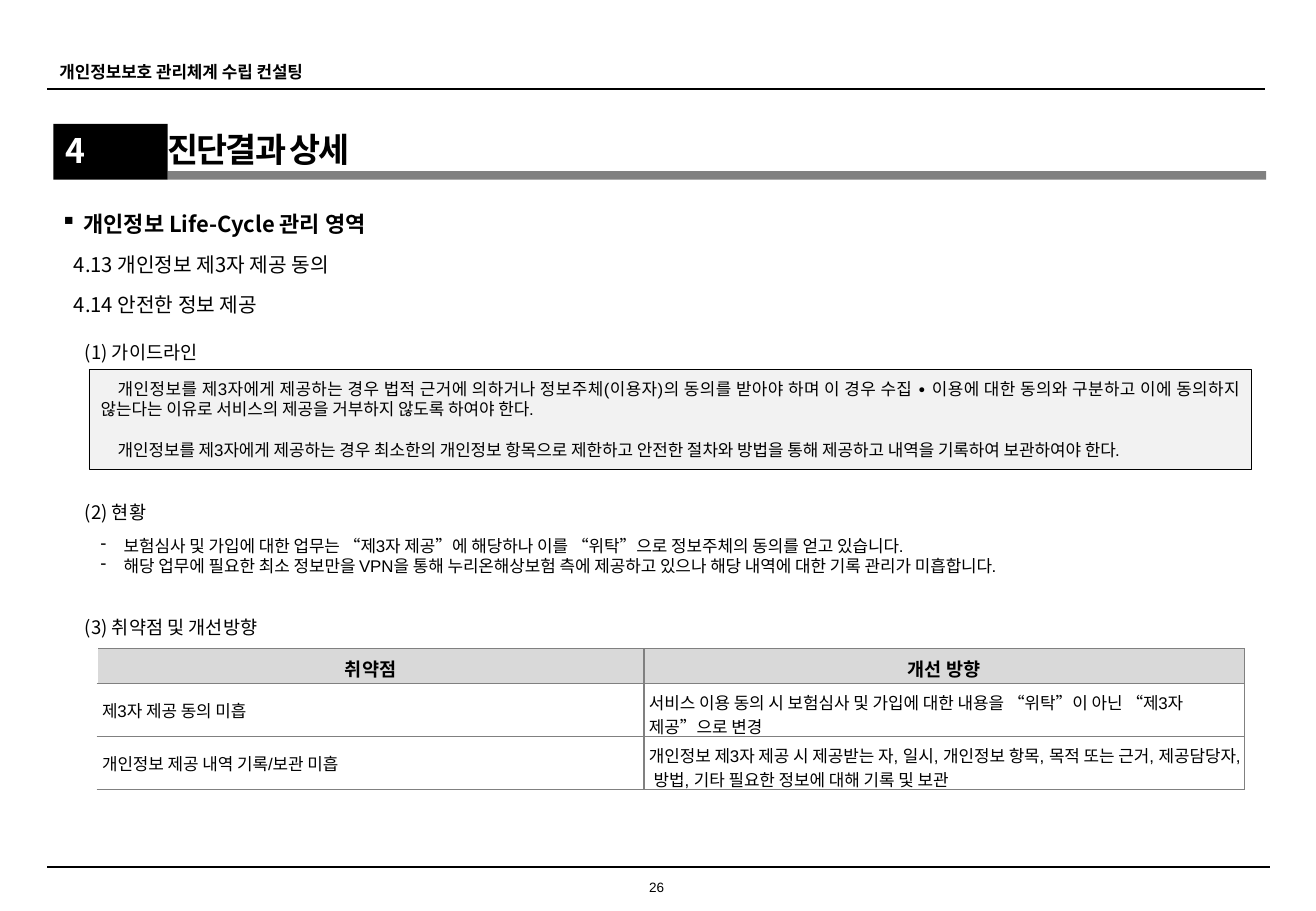
import pptx
import pptx.util
import pptx.dml.color
import pptx.enum.shapes
import pptx.enum.text
import pptx.oxml.ns
from lxml import etree

Inches, Pt = pptx.util.Inches, pptx.util.Pt
qn = pptx.oxml.ns.qn
ALIGN = pptx.enum.text.PP_ALIGN
ANCHOR = pptx.enum.text.MSO_ANCHOR
RECT = pptx.enum.shapes.MSO_SHAPE.RECTANGLE
STRAIGHT = pptx.enum.shapes.MSO_CONNECTOR.STRAIGHT
NOTO = "Noto Sans CJK KR"
INSETS = (0.1, 0.05, 0.1, 0.05)


def color(text):
    return pptx.dml.color.RGBColor.from_string(text)


def write(frame, lines, size, face=NOTO, bold=False, ink="000000", insets=INSETS,
          bullet=None, indent=(0, 0), space=None, wrap=True,
          anchor=ANCHOR.TOP, **form):
    """Fill a text frame; form holds paragraph attributes, indent is margin and first line."""
    sides = ("margin_left", "margin_top", "margin_right", "margin_bottom")
    for side, inset in zip(sides, insets):
        setattr(frame, side, Inches(inset))
    frame.word_wrap = wrap
    frame.vertical_anchor = anchor
    for i, line in enumerate(lines):
        para = frame.paragraphs[0] if i == 0 else frame.add_paragraph()
        for name, value in form.items():
            setattr(para, name, value)
        props = para._p.get_or_add_pPr()
        props.set("marL", str(Inches(indent[0])))
        props.set("indent", str(Inches(indent[1])))
        if bullet:
            etree.SubElement(props, qn("a:buChar"), char=bullet)
        run = para.add_run()
        run.text = line
        for name, value in {"size": Pt(size), "name": face, "bold": bold}.items():
            setattr(run.font, name, value)
        run.font.color.rgb = color(ink)
        marks = run._r.get_or_add_rPr()
        if face == NOTO:
            etree.SubElement(marks, qn("a:ea"), typeface=face)
        if space is not None:
            marks.set("spc", str(space))


deck = pptx.Presentation()
deck.slide_width, deck.slide_height = Inches(10.83), Inches(7.5)
slide = deck.slides.add_slide(deck.slide_layouts[5])
shapes = slide.shapes

# Header and footer rules
for right, y, width in [(10.41, 0.73, 1.25), (10.45, 7.14, 1)]:
    rule = shapes.add_connector(STRAIGHT, Inches(0.39), Inches(y), Inches(right), Inches(y))
    rule.line.color.rgb = color("000000")
    rule.line.width = Pt(width)
    etree.SubElement(rule._element.spPr, qn("a:effectLst"))

# Title bar, number block and guideline panel
panels = []
for box, fill, edge in [
    ((1.38, 1.41, 9.04, 0.07), "808080", None),
    ((0.44, 1.02, 0.94, 0.46), "000000", None),
    ((0.73, 3.04, 9.57, 0.82), "F2F2F2", "000000"),
]:
    panel = shapes.add_shape(RECT, *map(Inches, box))
    panel.shadow.inherit = False
    panel.fill.solid()
    panel.fill.fore_color.rgb = color(fill)
    if edge:
        panel.line.color.rgb = color(edge)
        panel.line.width = Pt(0.1)
    else:
        panel.line.fill.background()
    panels.append(panel)
bar, block, guide = panels

write(block.text_frame, ["4"], 20, bold=True, ink="FFFFFF", alignment=ALIGN.LEFT)
write(guide.text_frame, [
    "개인정보를 제3자에게 제공하는 경우 법적 근거에 의하거나 정보주체(이용자)의 동의를 받아야 하며 이 경우 수집 ∙ 이용에 대한 동의와 구분하고 이에 동의하지 않는다는 이유로 서비스의 제공을 거부하지 않도록 하여야 한다.",
    "개인정보를 제3자에게 제공하는 경우 최소한의 개인정보 항목으로 제한하고 안전한 절차와 방법을 통해 제공하고 내역을 기록하여 보관하여야 한다.",
], 10, "Arial", indent=(0, 0.14), anchor=ANCHOR.MIDDLE,
    alignment=ALIGN.JUSTIFY, space_after=Pt(12))

title = shapes.title
for name, value in {"left": 1.38, "top": 1.04, "width": 5.48, "height": 0.37}.items():
    setattr(title, name, Inches(value))
write(title.text_frame, ["진단결과 상세"], 20, bold=True, insets=(0, 0.05, 0.1, 0.05),
      space=-120, wrap=False, anchor=ANCHOR.MIDDLE, alignment=ALIGN.LEFT)

# Headings and notes
hang = (0.19, -0.19)
head = {"line_spacing": 1.3}
for box, lines, size, form in [
    ((0.39, 0.46, 2.48, 0.27), ["개인정보보호 관리체계 수립 컨설팅"], 10, {"bold": True}),
    ((0.4, 1.62, 10.21, 0.39), ["개인정보 Life-Cycle 관리 영역"], 13,
     {"bold": True, "bullet": "▪", "indent": hang, **head}),
    ((0.51, 1.97, 4.73, 0.33), ["4.13 개인정보 제3자 제공 동의"], 12, head),
    ((0.51, 2.3, 4.73, 0.33), ["4.14 안전한 정보 제공"], 12, head),
    ((0.6, 2.7, 4.73, 0.32), ["(1) 가이드라인"], 11, head),
    ((0.6, 4.02, 4.73, 0.34), ["(2) 현황"], 11, head),
    ((0.6, 4.97, 4.73, 0.34), ["(3) 취약점 및 개선방향"], 11, head),
    ((0.73, 4.36, 9.57, 0.44), [
        "보험심사 및 가입에 대한 업무는 “제3자 제공”에 해당하나 이를 “위탁”으로 정보주체의 동의를 얻고 있습니다.",
        "해당 업무에 필요한 최소 정보만을 VPN을 통해 누리온해상보험 측에 제공하고 있으나 해당 내역에 대한 기록 관리가 미흡합니다.",
    ], 10, {"face": "Arial", "bullet": "-", "indent": hang}),
    ((5.24, 7.23, 0.33, 0.14), ["26"], 8,
     {"face": "Arial", "insets": (0, 0, 0, 0), "anchor": ANCHOR.MIDDLE,
      "alignment": ALIGN.CENTER}),
]:
    note = shapes.add_textbox(*map(Inches, box))
    write(note.text_frame, lines, size, **form)

# Weaknesses and remedies
rows = [
    ("취약점", "개선 방향"),
    ("제3자 제공 동의 미흡",
     "서비스 이용 동의 시 보험심사 및 가입에 대한 내용을 “위탁”이 아닌 “제3자 제공”으로 변경"),
    ("개인정보 제공 내역 기록/보관 미흡",
     "개인정보 제3자 제공 시 제공받는 자, 일시, 개인정보 항목, 목적 또는 근거, 제공담당자, 방법, 기타 필요한 정보에 대해 기록 및 보관"),
]
table = shapes.add_table(3, 2, *map(Inches, (0.8, 5.34, 9.44, 1.15))).table
for col, width in zip(table.columns, (4.5, 4.94)):
    col.width = Inches(width)
for row, height in zip(table.rows, (0.29, 0.43, 0.43)):
    row.height = Inches(height)
for r, texts in enumerate(rows):
    for c, text in enumerate(texts):
        cell = table.cell(r, c)
        props = cell._tc.get_or_add_tcPr()
        for side in ("lnL", "lnR", "lnT", "lnB"):
            edge = etree.SubElement(props, qn("a:" + side), w=str(Pt(0.75)))
            paint = etree.SubElement(edge, qn("a:solidFill"))
            shade = "FFFFFF" if side == "lnL" and c == 0 else "808080"
            etree.SubElement(paint, qn("a:srgbClr"), val=shade)
        cell.fill.solid()
        cell.fill.fore_color.rgb = color("FFFFFF" if r else "D9D9D9")
        style = ({"size": 10, "face": "Arial", "alignment": ALIGN.LEFT} if r else
                 {"size": 11, "bold": True, "alignment": ALIGN.CENTER})
        write(cell.text_frame, [text], insets=(0, 0, 0, 0), **style)
        for side, inset in {"left": 0.04, "top": 0.05, "right": 0.04, "bottom": 0.05}.items():
            setattr(cell, "margin_" + side, Inches(inset))
        cell.vertical_anchor = ANCHOR.MIDDLE if r and c == 0 else ANCHOR.TOP

deck.save("out.pptx")
